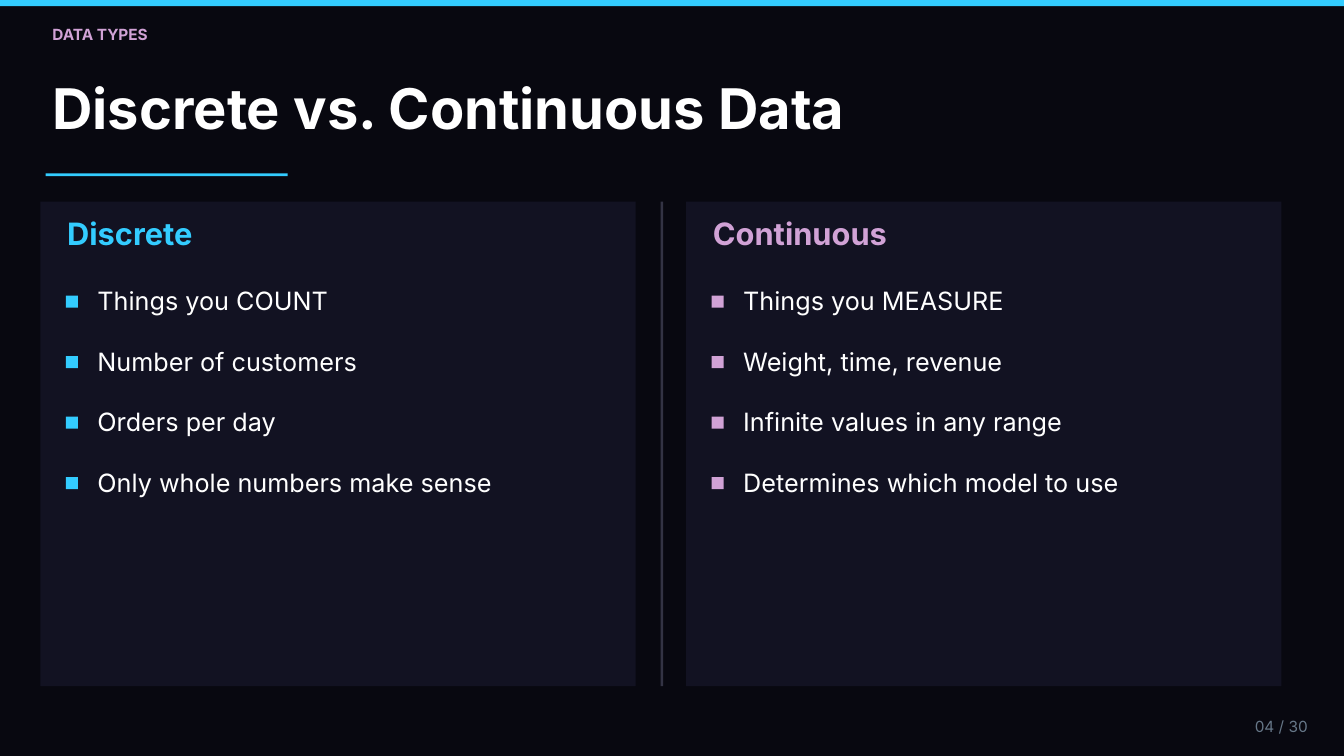
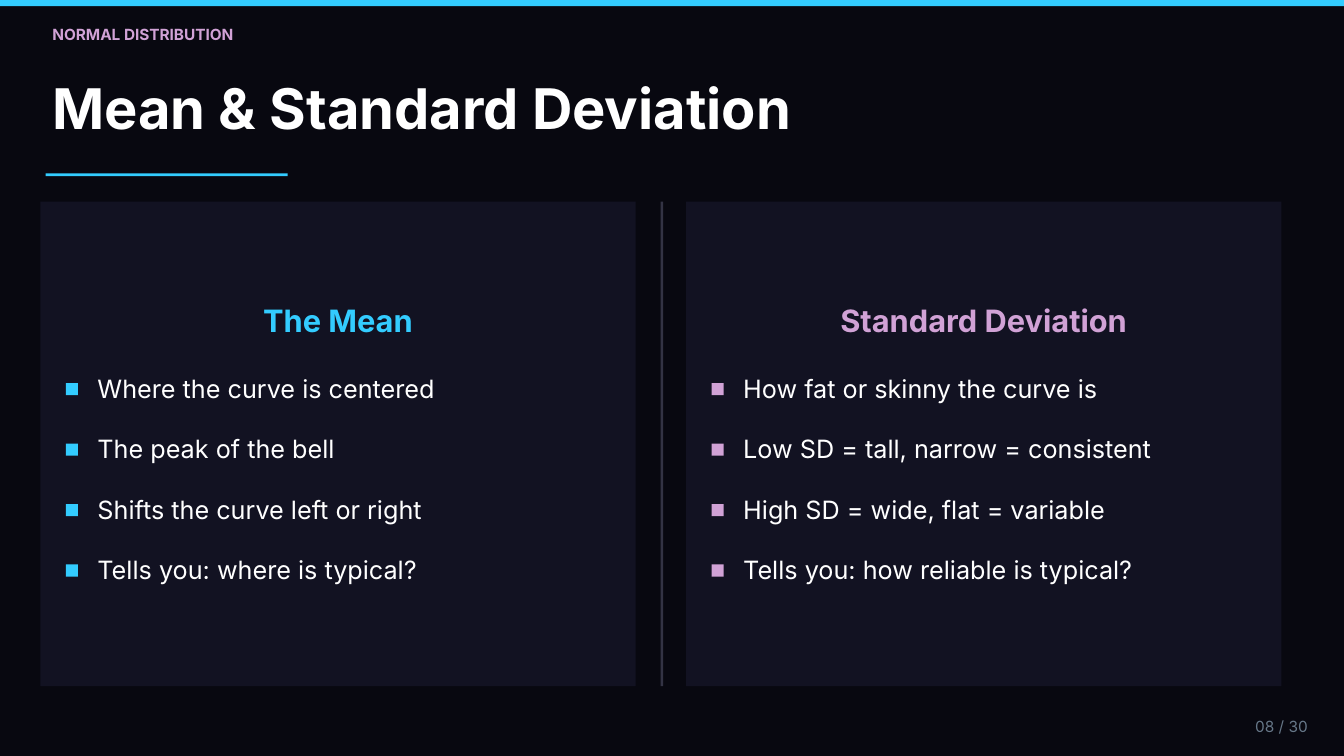
from pptx import Presentation
from pptx.dml.color import RGBColor
from pptx.enum.shapes import MSO_SHAPE as Shape
from pptx.enum.text import MSO_AUTO_SIZE as AutoSize, PP_ALIGN as Align
from pptx.util import Inches, Pt

BACKGROUND = RGBColor(0x08, 0x08, 0x10)
PANEL = RGBColor(0x12, 0x12, 0x22)
DIVIDER = RGBColor(0x33, 0x33, 0x44)
CYAN = RGBColor(0x33, 0xCC, 0xFF)
MAUVE = RGBColor(0xD1, 0xA2, 0xD6)
WHITE = RGBColor(0xFF, 0xFF, 0xFF)
GREY = RGBColor(0x66, 0x77, 0x88)
FONT = "Inter"

SLIDES = [
    {
        "topic": "DATA TYPES",
        "title": "Discrete vs. Continuous Data",
        "number": "04 / 30",
        "heading_top": 3.19,
        "heading_align": Align.LEFT,
        "columns": [
            ("Discrete", ["Things you COUNT", "Number of customers",
                          "Orders per day", "Only whole numbers make sense"]),
            ("Continuous", ["Things you MEASURE", "Weight, time, revenue",
                            "Infinite values in any range",
                            "Determines which model to use"]),
        ],
    },
    {
        "topic": "NORMAL DISTRIBUTION",
        "title": "Mean & Standard Deviation",
        "number": "08 / 30",
        "heading_top": 4.49,
        "heading_align": Align.CENTER,
        "columns": [
            ("The Mean", ["Where the curve is centered", "The peak of the bell",
                          "Shifts the curve left or right",
                          "Tells you: where is typical?"]),
            ("Standard Deviation", ["How fat or skinny the curve is",
                                    "Low SD = tall, narrow = consistent",
                                    "High SD = wide, flat = variable",
                                    "Tells you: how reliable is typical?"]),
        ],
    },
]

SLIDE_WIDTH, SLIDE_HEIGHT = 20, 11.25
PANEL_TOP, PANEL_WIDTH, PANEL_HEIGHT = 3, 8.86, 7.21
COLUMN_STYLES = [(0.6, CYAN), (10.21, MAUVE)]
ITEM_OFFSET, ITEM_STEP = 1.06, 0.9
MARKER_SIZE = 0.18
LINE_SPACING = 1.2


def add_block(page, left, top, width, height, color):
    block = page.shapes.add_shape(
        Shape.RECTANGLE, Inches(left), Inches(top), Inches(width), Inches(height))
    block.shadow.inherit = False
    block.fill.solid()
    block.fill.fore_color.rgb = color
    block.line.fill.background()


def add_text(page, text, left, top, width, size, color=WHITE, bold=False,
             align=Align.LEFT):
    line_height = Pt(size * LINE_SPACING)
    box = page.shapes.add_textbox(Inches(left), Inches(top), Inches(width), line_height)
    frame = box.text_frame
    frame.word_wrap = True
    frame.auto_size = AutoSize.SHAPE_TO_FIT_TEXT
    frame.margin_left = frame.margin_right = 0
    frame.margin_top = frame.margin_bottom = 0
    para = frame.paragraphs[0]
    para.alignment = align
    para.line_spacing = line_height
    span = para.add_run()
    span.text = text
    span.font.name = FONT
    span.font.size = Pt(size)
    span.font.bold = bold
    span.font.color.rgb = color


def add_column(page, left, color, heading, items, heading_top, align):
    add_block(page, left, PANEL_TOP, PANEL_WIDTH, PANEL_HEIGHT, PANEL)
    add_text(page, heading, left + 0.4, heading_top, 8.06, 33, color, True, align)
    for index, item in enumerate(items):
        top = heading_top + ITEM_OFFSET + index * ITEM_STEP
        add_block(page, left + 0.38, top + 0.15, MARKER_SIZE, MARKER_SIZE, color)
        add_text(page, item, left + 0.85, top, 7.61, 27)


def add_page(deck, content):
    page = deck.slides.add_slide(deck.slide_layouts[6])
    page.background.fill.solid()
    page.background.fill.fore_color.rgb = BACKGROUND
    add_block(page, 0, 0, SLIDE_WIDTH, 0.09, CYAN)
    add_text(page, content["topic"], 0.78, 0.37, 11.81, 16.5, MAUVE, True)
    add_text(page, content["title"], 0.78, 1.1, 17.81, 60, bold=True)
    add_block(page, 0.68, 2.58, 3.6, 0.04, CYAN)
    add_block(page, 9.83, PANEL_TOP, 0.04, PANEL_HEIGHT, DIVIDER)
    for (left, color), (heading, items) in zip(COLUMN_STYLES, content["columns"]):
        add_column(page, left, color, heading, items,
                   content["heading_top"], content["heading_align"])
    add_text(page, content["number"], 18.01, 10.67, 1.45, 16.5, GREY,
             align=Align.RIGHT)


def main():
    deck = Presentation()
    deck.slide_width = Inches(SLIDE_WIDTH)
    deck.slide_height = Inches(SLIDE_HEIGHT)
    for content in SLIDES:
        add_page(deck, content)
    deck.save("out.pptx")


if __name__ == "__main__":
    main()
